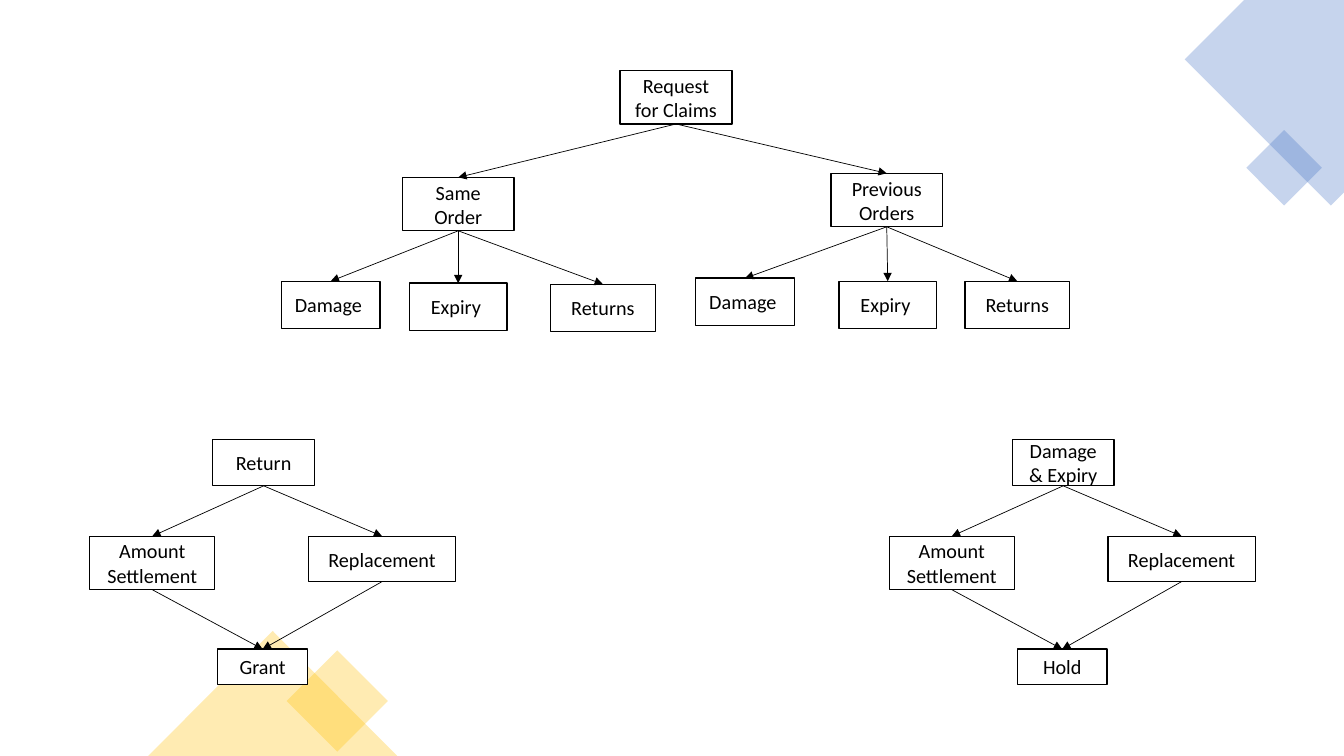
from lxml.etree import SubElement
from pptx import Presentation
from pptx.dml.color import RGBColor
from pptx.enum.shapes import MSO_CONNECTOR as Conn, MSO_SHAPE as Kind
from pptx.enum.text import MSO_ANCHOR as Anchor, PP_ALIGN as Align
from pptx.oxml.ns import qn
from pptx.util import Inches, Pt

BLACK, WHITE, BLUE, GOLD = "000000", "FFFFFF", "4472C4", "FFC000"
TOP, BOTTOM = 0, 2


def color(code):
    """Turn a hex string into a colour."""
    return RGBColor.from_string(code)


def paint(shape, code, alpha=None):
    """Fill a shape, with an optional opacity in percent."""
    shape.shadow.inherit = False
    shape.fill.solid()
    shape.fill.fore_color.rgb = color(code)
    if alpha:
        shape.line.fill.background()
        tint = shape.fill._xPr.find(qn("a:solidFill"))[0]
        SubElement(tint, qn("a:alpha"), val=str(alpha * 1000))


def node(slide, text, left, top, width, height):
    """Add one outlined box with centred text."""
    box = slide.shapes.add_shape(
        Kind.RECTANGLE, Inches(left), Inches(top), Inches(width), Inches(height))
    paint(box, WHITE)
    box.line.color.rgb = color(BLACK)
    box.line.width = Pt(1)
    frame = box.text_frame
    frame.word_wrap = True
    frame.vertical_anchor = Anchor.MIDDLE
    para = frame.paragraphs[0]
    para.text = text
    para.alignment = Align.CENTER
    para.space_after = Pt(6)
    para.font.name = "Calibri"
    para.font.size = Pt(14.4)
    para.font.color.rgb = color(BLACK)
    return box


def link(slide, start, end):
    """Join the bottom of one box to the top of another with an arrow."""
    arrow = slide.shapes.add_connector(Conn.STRAIGHT, 0, 0, 0, 0)
    arrow.begin_connect(start, BOTTOM)
    arrow.end_connect(end, TOP)
    arrow.line.color.rgb = color(BLACK)
    arrow.line.width = Pt(0.5)
    SubElement(arrow.line._get_or_add_ln(), qn("a:tailEnd"), type="triangle")
    SubElement(arrow._element.spPr, qn("a:effectLst"))


def diamond(slide, left, top, side, code):
    """Add a translucent square turned on its corner."""
    square = slide.shapes.add_shape(
        Kind.RECTANGLE, Inches(left), Inches(top), Inches(side), Inches(side))
    square.rotation = 45
    paint(square, code, 30)


def decor(slide, width, height):
    """Place the corner shapes against the slide's edges."""
    points = [(width - 0.99, 0), (width - 1.58, 0.59), (width - 0.13, 2.04),
              (width, 1.91), (width, 0)]
    points = [(Inches(x), Inches(y)) for x, y in points]
    path = slide.shapes.build_freeform(*points[0], scale=1.0)
    path.add_line_segments(points[1:], close=True)
    paint(path.convert_to_shape(), BLUE, 30)
    diamond(slide, width - 0.86, 1.4, 0.53, BLUE)
    diamond(slide, 2.99, height - 0.9, 0.71, GOLD)
    peak = slide.shapes.add_shape(
        Kind.ISOSCELES_TRIANGLE, Inches(1.47), Inches(height - 1.24),
        Inches(2.47), Inches(1.24))
    paint(peak, GOLD, 30)


def branch(slide, title, left, top, head, leaves):
    """Place an order box with its three claim types below it."""
    root = node(slide, title, left + head, top, 1.11, 0.53)
    kinds = [("Damage ", 0.98), ("Expiry ", 0.97), ("Returns", 1.04)]
    for (text, width), (x, y) in zip(kinds, leaves):
        link(slide, root, node(slide, text, left + x, top + y, width, 0.47))
    return root


def claims(slide, left, top):
    """Place the claim tree."""
    root = node(slide, "Request for Claims", left + 3.36, top, 1.11, 0.53)
    same = branch(slide, "Same Order", left, top + 1.06, 1.2,
                  [(0, 1.03), (1.27, 1.05), (2.67, 1.06)])
    prior = branch(slide, "Previous Orders", left + 4.11, top + 1.02, 1.34,
                   [(0, 1.04), (1.42, 1.07), (2.67, 1.07)])
    for child in (same, prior):
        link(slide, root, child)


def outcome(slide, title, result, left, top):
    """Place a claim, its two remedies and the result."""
    root = node(slide, title, left + 1.22, top, 1.01, 0.46)
    end = node(slide, result, left + 1.27, top + 2.08, 0.89, 0.35)
    remedies = [("Amount Settlement", 0, 1.24, 0.53),
                ("Replacement", 2.17, 1.46, 0.45)]
    for text, x, width, height in remedies:
        remedy = node(slide, text, left + x, top + 0.96, width, height)
        link(slide, root, remedy)
        link(slide, remedy, end)


def main():
    """Build and save the slide."""
    width, height = 13.33, 7.5
    deck = Presentation()
    deck.slide_width, deck.slide_height = Inches(width), Inches(height)
    slide = deck.slides.add_slide(deck.slide_layouts[6])
    decor(slide, width, height)
    claims(slide, 2.79, 0.7)
    outcome(slide, "Return", "Grant", 0.89, 4.36)
    outcome(slide, "Damage & Expiry", "Hold", 8.82, 4.36)
    deck.save("out.pptx")


if __name__ == "__main__":
    main()
